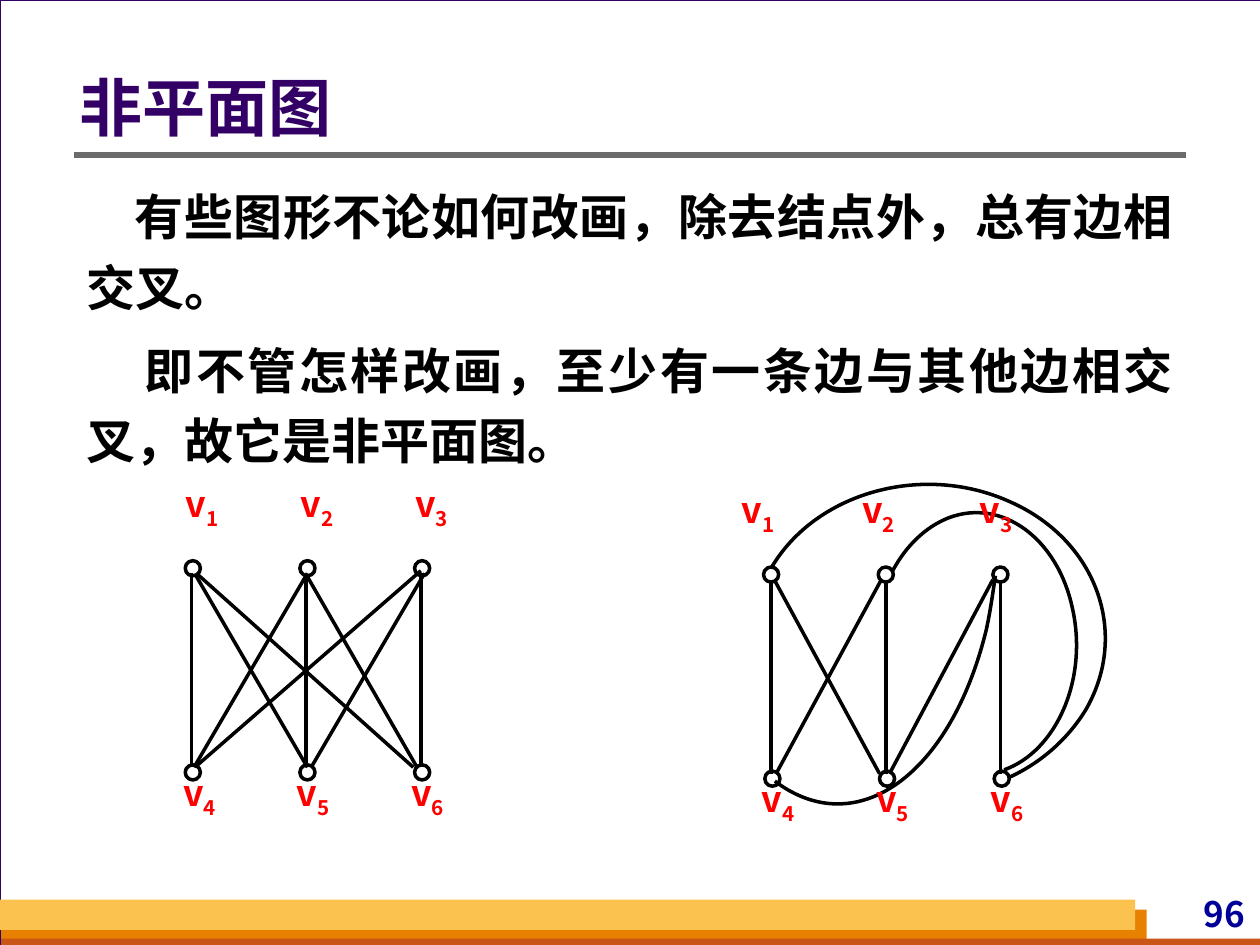
from pptx import Presentation
from pptx.dml.color import RGBColor
from pptx.enum.shapes import MSO_CONNECTOR, MSO_SHAPE
from pptx.enum.text import MSO_ANCHOR, PP_ALIGN
from pptx.oxml.ns import qn
from pptx.util import Pt
from lxml.etree import SubElement

PX = 9144
FONT = "Noto Sans CJK SC"
WHITE = RGBColor(0xFF, 0xFF, 0xFF)
BLACK = RGBColor(0, 0, 0)
RED = RGBColor(0xFF, 0, 0)
PURPLE = RGBColor(0x33, 0, 0x66)
NAVY = RGBColor(0, 0, 0x99)
GRAY = RGBColor(0x6B, 0x6B, 0x6B)
BACKGROUND = RGBColor(0xD8, 0xDA, 0xDA)
ORANGE = RGBColor(0xE8, 0x80, 0)
RUST = RGBColor(0xC9, 0x56, 0x16)
GOLD = RGBColor(0xFC, 0xC2, 0x4F)

presentation = Presentation()
presentation.slide_width = 1000 * PX
presentation.slide_height = 750 * PX
slide = presentation.slides.add_slide(presentation.slide_layouts[5])
slide.background.fill.solid()
slide.background.fill.fore_color.rgb = BACKGROUND
shapes = slide.shapes


def format_text(shape, size, color, alignment, spacing, margins):
    frame = shape.text_frame
    frame.word_wrap = True
    frame.margin_left = frame.margin_right = margins[0] * PX
    frame.margin_top = frame.margin_bottom = margins[1] * PX
    for paragraph in frame.paragraphs:
        paragraph.alignment = alignment
        paragraph.line_spacing = spacing
        for run in paragraph.runs:
            run.font.name = FONT
            run.font.size = Pt(size)
            run.font.bold = True
            run.font.color.rgb = color
            SubElement(run._r.get_or_add_rPr(), qn("a:ea")).set("typeface", FONT)


def add_line(start_x, start_y, end_x, end_y, color, width):
    line = shapes.add_connector(
        MSO_CONNECTOR.STRAIGHT, start_x * PX, start_y * PX, end_x * PX, end_y * PX)
    line.line.color.rgb = color
    line.line.width = Pt(width)
    SubElement(line._element.spPr, qn("a:effectLst"))


for left, top, width, height, color in [
    (0, 0, 1001, 750, WHITE),
    (1, 722, 909, 28, ORANGE),
    (1, 745, 1000, 8, RUST),
    (0, 714, 901, 24, GOLD),
]:
    panel = shapes.add_shape(
        MSO_SHAPE.RECTANGLE, left * PX, top * PX, width * PX, height * PX)
    panel.shadow.inherit = False
    panel.fill.solid()
    panel.fill.fore_color.rgb = color
    if color == WHITE:
        panel.line.color.rgb = PURPLE
        panel.line.width = Pt(0.75)
    else:
        panel.line.fill.background()

page_number = shapes.add_textbox(870 * PX, 708 * PX, 122 * PX, 33 * PX)
page_number.text_frame.text = "96"
format_text(page_number, 20, NAVY, PP_ALIGN.RIGHT, 1.0, (4, 0))

add_line(59, 123, 941, 123, GRAY, 3)

title = shapes.title
shapes._spTree.append(title._element)
title.left, title.top, title.width, title.height = 59 * PX, 38 * PX, 882 * PX, 101 * PX
title.text_frame.text = "非平面图"
title.text_frame.vertical_anchor = MSO_ANCHOR.MIDDLE
format_text(title, 36, PURPLE, PP_ALIGN.LEFT, 0.9, (4, 0))

body = shapes.add_textbox(59 * PX, 134 * PX, 882 * PX, 244 * PX)
body.text_frame.text = (
    "有些图形不论如何改画，除去结点外，总有边相交叉。\n"
    "即不管怎样改画，至少有一条边与其他边相交叉，故它是非平面图。"
)
format_text(body, 28, BLACK, PP_ALIGN.JUSTIFY, 1.2, (10, 5))
for paragraph, indent in zip(body.text_frame.paragraphs, (38, 46)):
    properties = paragraph._p.get_or_add_pPr()
    properties.set("indent", str(indent * PX))
    properties.set("hangingPunct", "0")
body.text_frame.paragraphs[1].space_before = Pt(7)

crossing_edges = [
    (334, 455, 334, 609), (152, 455, 152, 609), (244, 455, 154, 609),
    (334, 453, 157, 607), (337, 455, 247, 609), (157, 456, 328, 609),
    (155, 456, 244, 609), (243, 456, 331, 609), (243, 456, 243, 609),
]
redrawn_edges = [
    (794, 460, 794, 614), (612, 460, 612, 614), (699, 461, 616, 614),
    (788, 460, 706, 614), (615, 461, 698, 614), (703, 461, 703, 614),
]
for edge in crossing_edges + redrawn_edges:
    add_line(*edge, BLACK, 2)

curved_edges = [
    ((615, 411, 177, 228),
     [(615, 620), (680, 669), (755, 615), (783, 499), (786, 485), (788, 471), (790, 457)]),
    ((706, 407, 148, 204),
     [(797, 611), (839, 596), (864, 538), (851, 482), (839, 427), (795, 395),
      (753, 411), (735, 418), (719, 433), (708, 454)]),
    ((612, 383, 266, 234),
     [(612, 451), (647, 391), (732, 367), (801, 398), (870, 428), (897, 502),
      (862, 563), (848, 586), (827, 605), (801, 617)]),
]
for (left, top, width, height), controls in curved_edges:
    builder = shapes.build_freeform(*controls[0], scale=PX)
    builder.add_line_segments(controls[1:], close=False)
    curve = builder.convert_to_shape()
    curve.left, curve.top = left * PX, top * PX
    curve.width, curve.height = width * PX, height * PX
    outline = next(curve._element.iter(qn("a:path")))
    for child in list(outline):
        outline.remove(child)
    outline.set("w", str(width))
    outline.set("h", str(height))
    for index, (x, y) in enumerate(controls):
        if index == 0:
            command = SubElement(outline, qn("a:moveTo"))
        elif index % 3 == 1:
            command = SubElement(outline, qn("a:cubicBezTo"))
        point = SubElement(command, qn("a:pt"))
        point.set("x", str(x - left))
        point.set("y", str(y - top))
    curve.shadow.inherit = False
    curve.fill.background()
    curve.line.color.rgb = BLACK
    curve.line.width = Pt(2)

NODE_GAP = 91
rows = [
    (147, 445, (137, 228, 319), 383, 1),
    (147, 607, (135, 225, 316), 612, 4),
    (606, 450, (578, 674, 767), 388, 1),
    (607, 612, (594, 685, 776), 617, 4),
]
for node_left, node_top, label_lefts, label_top, first_number in rows:
    for column, label_left in enumerate(label_lefts):
        node = shapes.add_shape(
            MSO_SHAPE.OVAL, (node_left + column * NODE_GAP) * PX, node_top * PX,
            12 * PX, 12 * PX)
        node.shadow.inherit = False
        node.fill.background()
        node.line.color.rgb = BLACK
        node.line.width = Pt(2)

        label = shapes.add_textbox(label_left * PX, label_top * PX, 47 * PX, 40 * PX)
        paragraph = label.text_frame.paragraphs[0]
        paragraph.add_run().text = "v"
        subscript = paragraph.add_run()
        subscript.text = str(first_number + column)
        subscript.font._element.set("baseline", "-25000")
        format_text(label, 20.4, RED, PP_ALIGN.CENTER, 0.9, (0, 0))

presentation.save("out.pptx")
